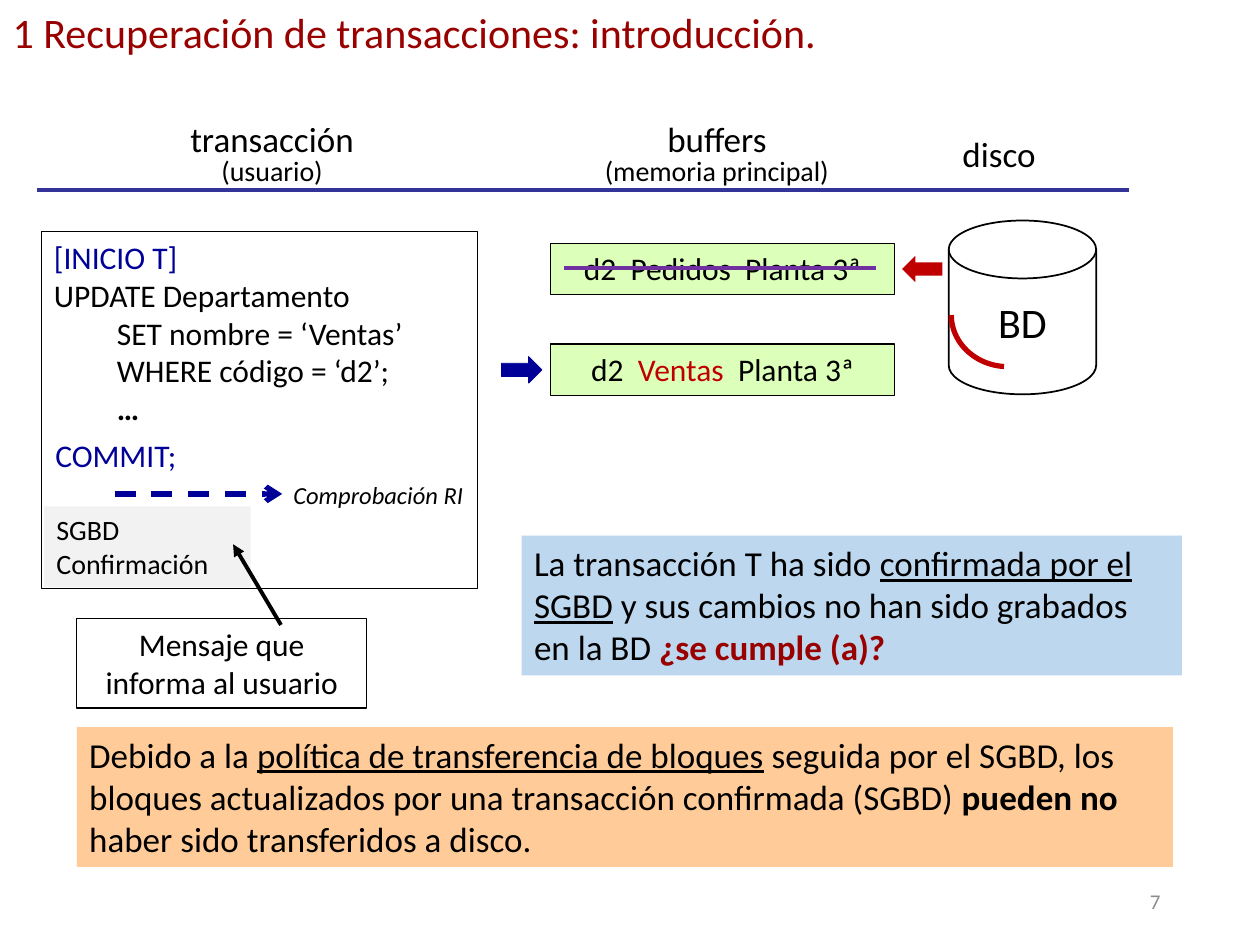
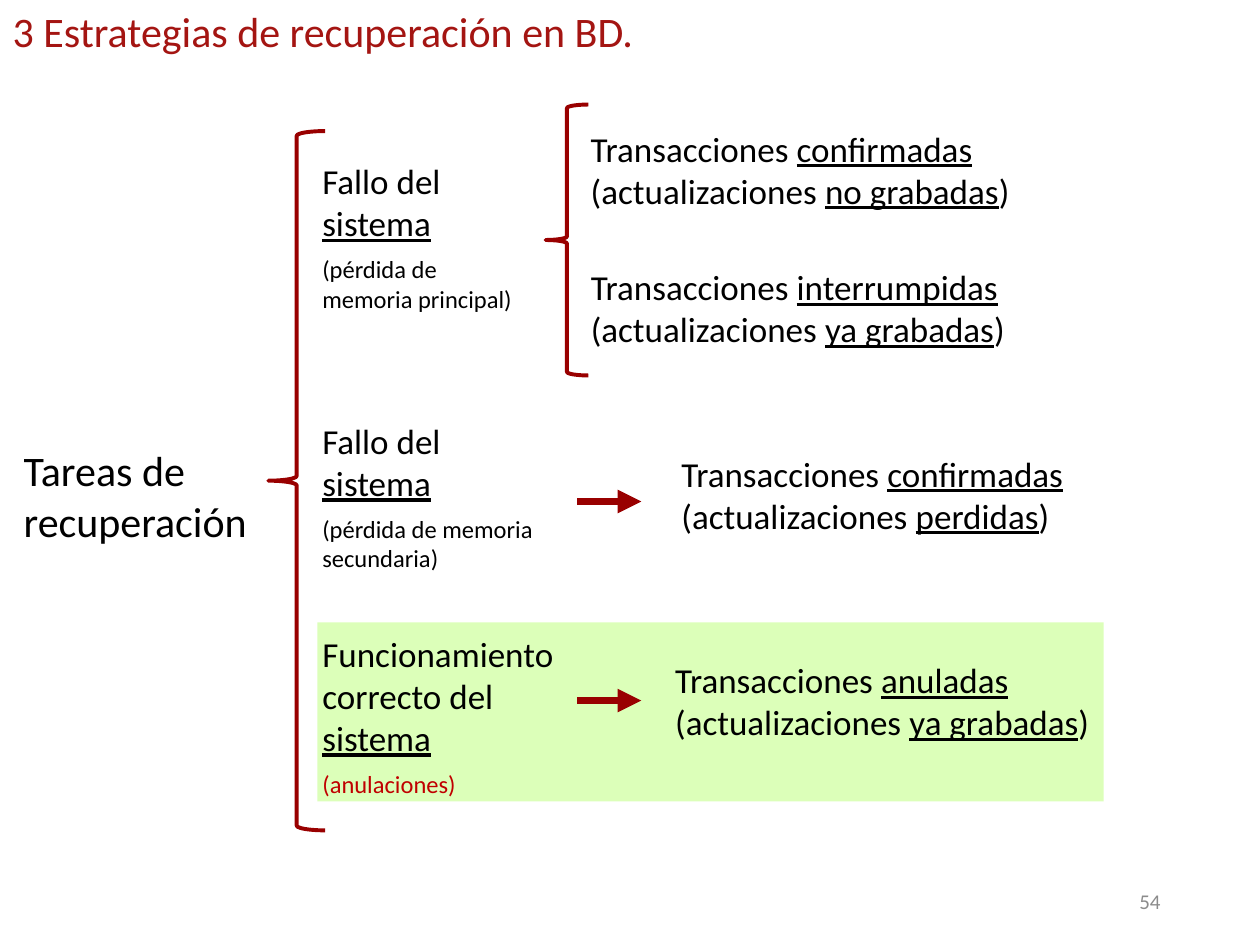
"""Two slides on transaction recovery in databases."""
import math
from dataclasses import dataclass
from typing import NamedTuple, Optional, Union

from lxml import etree
from pptx import Presentation
from pptx import util as u
from pptx.dml import color
from pptx.enum import dml, shapes, text
from pptx.oxml import ns

# Shared style
FONT = "Calibri"
BLACK, NAVY, DARK_RED, RED = "000000", "000099", "990000", "C00000"
GREEN, GREY = "DCFFB9", "8C8C8C"
LEFT, CENTER, RIGHT = text.PP_ALIGN.LEFT, text.PP_ALIGN.CENTER, text.PP_ALIGN.RIGHT
TOP, MIDDLE = text.MSO_ANCHOR.TOP, text.MSO_ANCHOR.MIDDLE
KIND = shapes.MSO_SHAPE

# Grid: 100 columns by 75 rows of equal square cells
SLIDE_WIDTH, SLIDE_HEIGHT = u.Inches(10), u.Inches(7.5)
CELL = SLIDE_WIDTH // 100


class Area(NamedTuple):
    column: float
    row: float
    columns: float
    rows: float


class Span(NamedTuple):
    text: str
    color: Optional[str] = None
    bold: bool = False
    underline: bool = False


@dataclass
class Para:
    content: Union[str, list]
    size: float = 20
    color: str = BLACK
    align: int = LEFT
    indent: float = 0
    before: float = 0
    spacing: Optional[float] = None
    bold: bool = False
    italic: bool = False


@dataclass
class Block:
    """A text box, or a preset shape when a kind is given."""
    area: Area
    paras: tuple = ()
    kind: Optional[int] = None
    fill: Optional[str] = None
    line: Optional[str] = None
    line_width: float = 0.75
    anchor: int = TOP
    wrap: bool = True
    side_inset: float = 1
    rotation: float = 0


@dataclass
class Line:
    start: tuple
    end: tuple
    color: str
    width: float = 2.25
    head: Optional[str] = None
    dashed: bool = False


def rgb(value: str) -> color.RGBColor:
    return color.RGBColor.from_string(value)


def grid(*cells: float) -> list:
    return [u.Emu(round(cell * CELL)) for cell in cells]


def underlined(marked: str) -> list:
    """Underline the parts between bars."""
    return [Span(part, underline=index % 2 == 1)
            for index, part in enumerate(marked.split("|")) if part]


def write_paragraph(paragraph, para: Para) -> None:
    if para.indent:
        properties = paragraph._p.get_or_add_pPr()
        properties.set("marL", str(grid(para.indent)[0]))
        properties.set("indent", "0")
    paragraph.alignment = para.align
    paragraph.space_before = u.Pt(para.before)
    if para.spacing:
        paragraph.line_spacing = para.spacing
    font = paragraph.font
    font.name, font.size = FONT, u.Pt(para.size)
    font.bold, font.italic = para.bold, para.italic
    font.color.rgb = rgb(para.color)
    spans = [Span(para.content)] if isinstance(para.content, str) else para.content
    for span in spans:
        run = paragraph.add_run()
        run.text = span.text
        if span.color:
            run.font.color.rgb = rgb(span.color)
        if span.bold:
            run.font.bold = True
        if span.underline:
            run.font.underline = True


def write_text(shape, block: Block) -> None:
    frame = shape.text_frame
    frame.auto_size = text.MSO_AUTO_SIZE.NONE
    frame.word_wrap, frame.vertical_anchor = block.wrap, block.anchor
    frame.margin_left = frame.margin_right = grid(block.side_inset)[0]
    frame.margin_top = frame.margin_bottom = grid(0.5)[0]
    for index, para in enumerate(block.paras):
        paragraph = frame.add_paragraph() if index else frame.paragraphs[0]
        write_paragraph(paragraph, para)


def draw_block(slide, block: Block) -> None:
    if block.kind is None:
        shape = slide.shapes.add_textbox(*grid(*block.area))
    else:
        shape = slide.shapes.add_shape(block.kind, *grid(*block.area))
        shape.shadow.inherit = False
        shape.rotation = block.rotation
        if block.fill:
            shape.fill.solid()
            shape.fill.fore_color.rgb = rgb(block.fill)
        else:
            shape.fill.background()
        if block.line:
            shape.line.color.rgb = rgb(block.line)
            shape.line.width = u.Pt(block.line_width)
        else:
            shape.line.fill.background()
    if block.paras:
        write_text(shape, block)


def draw_line(slide, line: Line) -> None:
    connector = slide.shapes.add_connector(
        shapes.MSO_CONNECTOR.STRAIGHT, *grid(*line.start, *line.end))
    connector.line.color.rgb = rgb(line.color)
    connector.line.width = u.Pt(line.width)
    if line.dashed:
        connector.line.dash_style = dml.MSO_LINE.DASH
    if line.head:
        outline = connector.line._get_or_add_ln()
        etree.SubElement(outline, ns.qn("a:tailEnd"), type=line.head)
    etree.SubElement(connector._element.spPr, ns.qn("a:effectLst"))


def draw_arc(slide, center: tuple, radii: tuple, angles: tuple, line_color: str) -> None:
    """Draw an open elliptical arc; angles run clockwise in degrees."""
    steps = 24
    points = []
    for step in range(steps + 1):
        angle = math.radians(angles[0] + (angles[1] - angles[0]) * step / steps)
        points.append(grid(center[0] + radii[0] * math.cos(angle),
                           center[1] + radii[1] * math.sin(angle)))
    builder = slide.shapes.build_freeform(*points[0])
    builder.add_line_segments(points[1:], close=False)
    arc = builder.convert_to_shape()
    arc.shadow.inherit = False
    arc.fill.background()
    arc.line.color.rgb = rgb(line_color)
    arc.line.width = u.Pt(3)


def draw_items(slide, items: list) -> None:
    for item in items:
        (draw_line if isinstance(item, Line) else draw_block)(slide, item)


def add_slide(presentation, title: str, title_area: Area, title_color: str, number: str):
    slide = presentation.slides.add_slide(presentation.slide_layouts[5])
    placeholder = slide.shapes.title
    placeholder.left, placeholder.top, placeholder.width, placeholder.height = grid(*title_area)
    write_text(placeholder, Block(title_area, (Para(title, 24, title_color),)))
    draw_block(slide, Block(Area(70.6, 69.5, 22.5, 4),
                            (Para(number, 12, GREY, RIGHT),), anchor=MIDDLE))
    return slide


def column_heading(column: float, name: str, detail: str) -> Block:
    return Block(Area(column, 8.8, 33, 6.6), (
        Para(name, align=CENTER, indent=5),
        Para(detail, 16, align=CENTER, indent=5, spacing=0.85)))


def buffer_record(row: float, content: Union[str, list]) -> Block:
    return Block(Area(43.7, row, 27.3, 4.1), (Para(content, 18, align=CENTER),),
                 KIND.RECTANGLE, GREEN, BLACK, side_inset=0)


def build_introduction(presentation) -> None:
    slide = add_slide(presentation, "1 Recuperación de transacciones: introducción.",
                      Area(0, 0, 68.9, 5), DARK_RED, "7")
    # Transaction, disk and column headings
    code = ("SET nombre = ‘Ventas’", "WHERE código = ‘d2’;")
    draw_items(slide, [
        Block(Area(39.8, 28.3, 3.2, 2.1), (), KIND.LEFT_ARROW, NAVY, NAVY, 0.5, rotation=180),
        Block(Area(3.3, 18.4, 34.6, 28.3), (
            Para("[INICIO T]", 18, NAVY),
            Para("UPDATE Departamento", 18),
            *(Para(clause, 18, indent=5) for clause in code),
            Para("…", 18, indent=5, bold=True)), KIND.RECTANGLE, line=BLACK),
        Block(Area(75.3, 17.5, 11.7, 13.8), (Para("BD", 24, align=CENTER),),
              KIND.FLOWCHART_MAGNETIC_DISK, line=BLACK, line_width=1,
              anchor=MIDDLE, wrap=False),
        column_heading(37.9, "buffers", "(memoria principal)"),
        Block(Area(70.4, 10, 19.2, 4.3), (Para("disco", indent=5),)),
        Line((2.9, 15.1), (89.6, 15.1), "333399"),
        column_heading(2.6, "transacción", "(usuario)"),
    ])
    draw_arc(slide, (80, 25), (4.5, 4.1), (94, 180), RED)
    # Explanations, buffer records and user message
    draw_items(slide, [
        Block(Area(41.4, 42.5, 52.4, 11.1), (Para([
            Span("La transacción T ha sido "),
            Span("confirmada por el SGBD", underline=True),
            Span(" y sus cambios no han sido grabados en la BD "),
            Span("¿se cumple (a)?", DARK_RED, bold=True)]),), KIND.RECTANGLE, "BDD7EE"),
        Block(Area(6.1, 57.7, 87, 11.1), (Para([
            Span("Debido a la "),
            Span("política de transferencia de bloques", underline=True),
            Span(" seguida por el SGBD, los bloques actualizados por una "
                 "transacción confirmada (SGBD) "),
            Span("pueden no ", bold=True),
            Span("haber sido transferidos a disco.")]),), KIND.RECTANGLE, "FFCC99"),
        buffer_record(27.3, [Span("d2  "), Span("Ventas", RED), Span("  Planta 3ª")]),
        buffer_record(19.3, "d2  Pedidos  Planta 3ª"),
        Block(Area(71.6, 20.3, 3.2, 2.1), (), KIND.LEFT_ARROW, RED),
        Block(Area(3.5, 40.2, 16.4, 6.4), (Para("SGBD", 16), Para("Confirmación", 16)),
              KIND.RECTANGLE, "F2F2F2"),
        Block(Area(22.3, 37.6, 17.9, 3.4), (Para("Comprobación RI", 14, italic=True),)),
        Line((9.1, 39.2), (22.4, 39.2), NAVY, 3, "arrow", dashed=True),
        Block(Area(3.4, 34.1, 15.1, 4), (Para("COMMIT;", 18, NAVY),)),
        Block(Area(6.1, 49.1, 23, 7.1),
              (Para("Mensaje que informa al usuario", 18, align=CENTER),),
              KIND.RECTANGLE, line=BLACK),
        Line((22.3, 49.6), (18.5, 43.2), BLACK, head="triangle"),
        Line((44.8, 21.3), (69.5, 21.3), "7030A0"),
    ])


def build_strategies(presentation) -> None:
    slide = add_slide(presentation, "3 Estrategias de recuperación en BD.",
                      Area(0, -0.1, 51.7, 5), "A41512", "54")
    draw_items(slide, [
        Block(Area(25.2, 49.4, 62.4, 14.2), (), KIND.RECTANGLE, GREEN),
        Block(Area(0.9, 34.8, 22.4, 9.1), (Para("Tareas de recuperación", 24),)),
    ])
    # Situations: row, columns, rows, name, detail, detail colour
    failure = "Fallo del |sistema|"
    situations = [
        (12.2, 18, 13.6, failure, "(pérdida de memoria principal)", BLACK),
        (49.7, 22.2, 14.3, "Funcionamiento correcto del |sistema|", "(anulaciones)", RED),
        (32.8, 19, 13.6, failure, "(pérdida de memoria secundaria)", BLACK),
    ]
    for row, columns, rows, name, detail, detail_color in situations:
        draw_block(slide, Block(Area(24.6, row, columns, rows), (
            Para(underlined(name)), Para(detail, 14, detail_color, before=6))))
    # Affected transactions: column, row, columns, state, updates
    outcomes = [
        (45.9, 9.6, 41.7, "confirmadas", "no grabadas"),
        (45.9, 20.6, 48.5, "interrumpidas", "ya grabadas"),
        (53.1, 35.4, 41.7, "confirmadas", "perdidas"),
        (52.6, 51.8, 41.2, "anuladas", "ya grabadas"),
    ]
    for column, row, columns, state, updates in outcomes:
        content = underlined(f"Transacciones |{state}| (actualizaciones |{updates}|)")
        draw_block(slide, Block(Area(column, row, columns, 7.7), (Para(content),)))
    # Braces and arrows
    for area in (Area(43.3, 8.3, 3.4, 21.5), Area(21.3, 10.4, 4.5, 55.5)):
        draw_block(slide, Block(area, (), KIND.LEFT_BRACE, line=DARK_RED, line_width=2.25))
    for row in (55.6, 39.8):
        draw_line(slide, Line((45.8, row), (50.9, row), DARK_RED, 4.5, "triangle"))


def main() -> None:
    presentation = Presentation()
    presentation.slide_width, presentation.slide_height = SLIDE_WIDTH, SLIDE_HEIGHT
    build_introduction(presentation)
    build_strategies(presentation)
    presentation.save("out.pptx")


if __name__ == "__main__":
    main()
